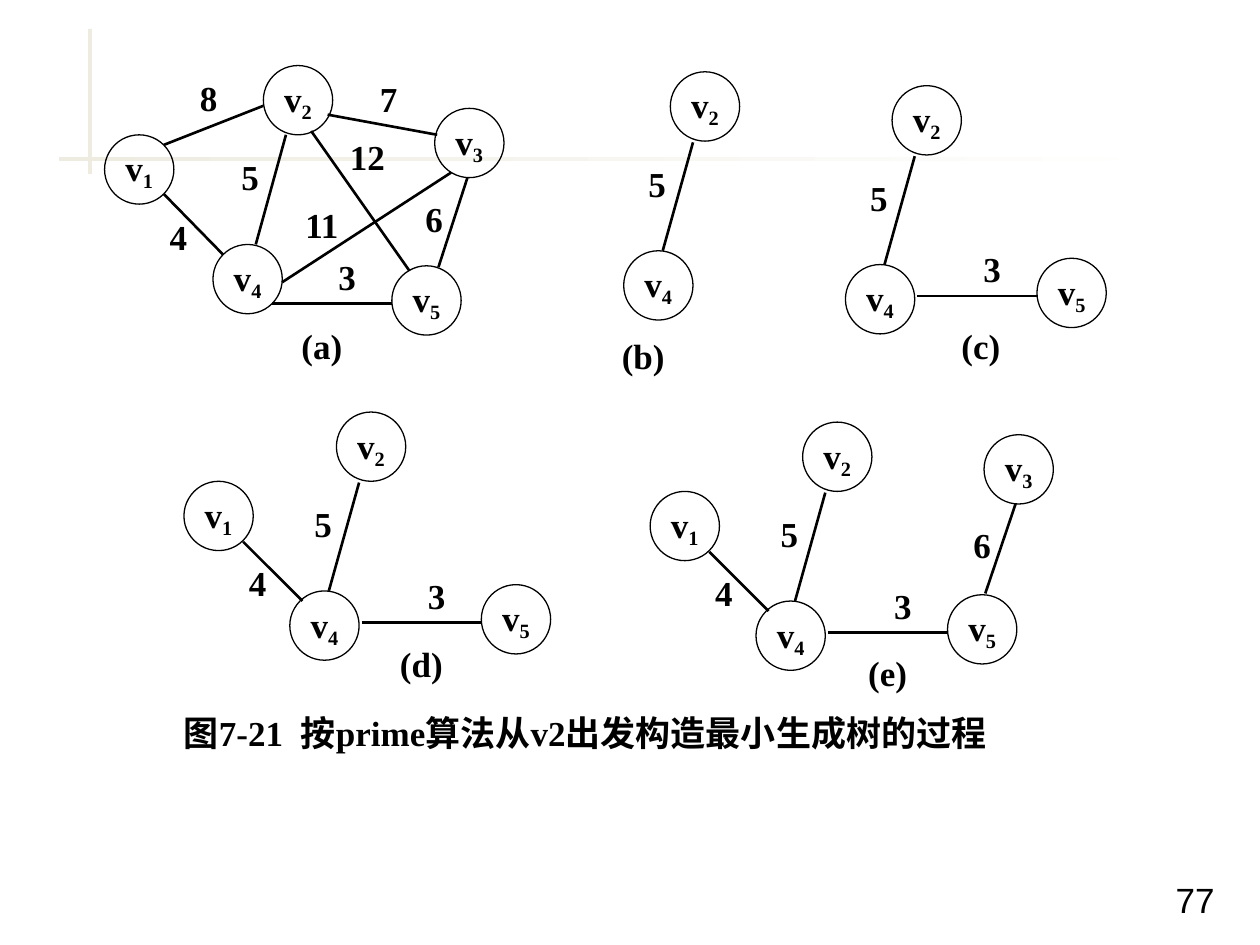
from dataclasses import dataclass

from lxml import etree
from pptx import Presentation
from pptx import util as u
from pptx.dml.color import RGBColor
from pptx.enum import shapes as sh
from pptx.enum import text as tx
from pptx.oxml.ns import qn

PX = 9144  # 100 px to the inch
NODE, TAG, NAME = 55, 39, 47  # sides of circles, weights and graph names
BLACK = RGBColor(0, 0, 0)
WHITE = RGBColor(0xFF, 0xFF, 0xFF)
SAND = RGBColor(0xEE, 0xEC, 0xE1)
SERIF, SANS = "Times New Roman", "Arial"


@dataclass
class Node:
    num: int
    x: int
    y: int


@dataclass
class Edge:
    cost: int
    x: int  # corner of the weight
    y: int
    line: tuple[int, int, int, int]


@dataclass
class Graph:
    name: str
    x: int  # corner of the name
    y: int
    nodes: list[Node]
    edges: list[Edge]


# Every step of the tree adds one node and one edge, measured from v4
ROOT = Node(4, 0, 0)
STEPS = [
    (Node(2, 37, -142), Edge(5, 7, -71, (55, -86, 31, 0))),
    (Node(5, 152, -5), Edge(3, 97, -14, (57, 25, 152, 25))),
    (Node(1, -84, -87), Edge(4, -45, -24, (-37, -39, 10, 8))),
    (Node(3, 181, -132), Edge(6, 160, -62, (206, -77, 182, -6))),
]


def tree(name: str, x: int, y: int, left: int, top: int, count: int) -> Graph:
    """Tree after some steps, with its v4 at (left, top)."""
    nodes = [ROOT] + [n for n, _ in STEPS[:count]]
    edges = [e for _, e in STEPS[:count]]
    return Graph(
        name, x, y,
        [Node(n.num, n.x + left, n.y + top) for n in nodes],
        [Edge(e.cost, e.x + left, e.y + top,
              tuple(v + (top if i % 2 else left) for i, v in enumerate(e.line)))
         for e in edges])


FULL = Graph(
    "(a)", 232, 257,
    [Node(1, 83, 107), Node(2, 209, 52), Node(3, 345, 86),
     Node(4, 169, 194), Node(5, 311, 211)],
    [Edge(4, 122, 170, (130, 154, 177, 202)),
     Edge(8, 146, 60, (130, 115, 209, 84)),
     Edge(5, 179, 123, (227, 107, 203, 194)),
     Edge(7, 289, 61, (260, 91, 347, 107)),
     Edge(12, 272, 107, (247, 104, 325, 215)),
     Edge(11, 236, 161, (224, 224, 358, 137)),
     Edge(3, 256, 202, (216, 241, 311, 241)),
     Edge(6, 325, 156, (371, 141, 348, 212))])

GRAPHS = [
    FULL,
    tree("(b)", 487, 265, 495, 199, 1),
    tree("(c)", 755, 257, 671, 210, 2),
    tree("(d)", 311, 509, 230, 469, 3),
    tree("(e)", 681, 516, 600, 477, 4),
]


def box(x: int, y: int, w: int, h: int) -> list[u.Emu]:
    return [u.Emu(v * PX) for v in (x, y, w, h)]


def write(shape, words: str, sub: str = "", face: str = SERIF,
          bold: bool = True) -> None:
    """Centred, unwrapped text, with an optional subscript."""
    frame = shape.text_frame
    frame.text = words
    frame.word_wrap = False
    frame.vertical_anchor = tx.MSO_ANCHOR.MIDDLE
    frame.margin_left = frame.margin_right = 0
    frame.margin_top = frame.margin_bottom = 0
    par = frame.paragraphs[0]
    par.alignment = tx.PP_ALIGN.CENTER
    par.line_spacing = 0.9
    if sub:
        low = par.add_run()
        low.text = sub
        low._r.get_or_add_rPr().set("baseline", "-20000")
    for run in par.runs:
        run.font.name = face
        run.font.size = u.Pt(20)
        run.font.bold = bold
        run.font.color.rgb = BLACK


def label(slide, words: str, x: int, y: int, w: int, h: int = TAG, **look) -> None:
    write(slide.shapes.add_textbox(*box(x, y, w, h)), words, **look)


def bar(slide, x: int, y: int, w: int, h: int):
    shape = slide.shapes.add_shape(sh.MSO_SHAPE.RECTANGLE, *box(x, y, w, h))
    shape.shadow.inherit = False
    shape.line.fill.background()
    return shape


def draw_node(slide, node: Node) -> None:
    disc = slide.shapes.add_shape(
        sh.MSO_SHAPE.OVAL, *box(node.x, node.y, NODE, NODE))
    disc.shadow.inherit = False
    disc.fill.background()
    disc.line.color.rgb = BLACK
    disc.line.width = u.Pt(0.75)
    write(disc, "v", sub=str(node.num))


def draw_edge(slide, edge: Edge) -> None:
    label(slide, str(edge.cost), edge.x, edge.y, TAG)
    link = slide.shapes.add_connector(
        sh.MSO_CONNECTOR.STRAIGHT, *box(*edge.line))
    link.line.color.rgb = BLACK
    link.line.width = u.Pt(1.5)
    etree.SubElement(link._element.spPr, qn("a:effectLst"))


def draw_graph(slide, graph: Graph) -> None:
    for node in graph.nodes:
        draw_node(slide, node)
    for edge in graph.edges:
        draw_edge(slide, edge)
    label(slide, graph.name, graph.x, graph.y, NAME)


def main() -> None:
    deck = Presentation()
    deck.slide_width, deck.slide_height = u.Inches(10), u.Inches(7.5)
    slide = deck.slides.add_slide(deck.slide_layouts[6])

    # Crossed bars in the corner
    post = bar(slide, 70, 23, 3, 115)
    post.fill.solid()
    post.fill.fore_color.rgb = SAND
    rule = bar(slide, 47, 125, 900, 3)
    rule.fill.gradient()
    rule.fill.gradient_angle = 0
    for stop, tint in zip(rule.fill.gradient_stops, (SAND, WHITE)):
        stop.color.rgb = tint

    # Graph and the growing trees
    for graph in GRAPHS:
        draw_graph(slide, graph)

    # Caption and page number
    label(slide, "图7-21  按prime算法从v2出发构造最小生成树的过程", 138, 564, 653)
    label(slide, "77", 933, 696, 31, 40, face=SANS, bold=False)

    deck.save("out.pptx")


if __name__ == "__main__":
    main()
